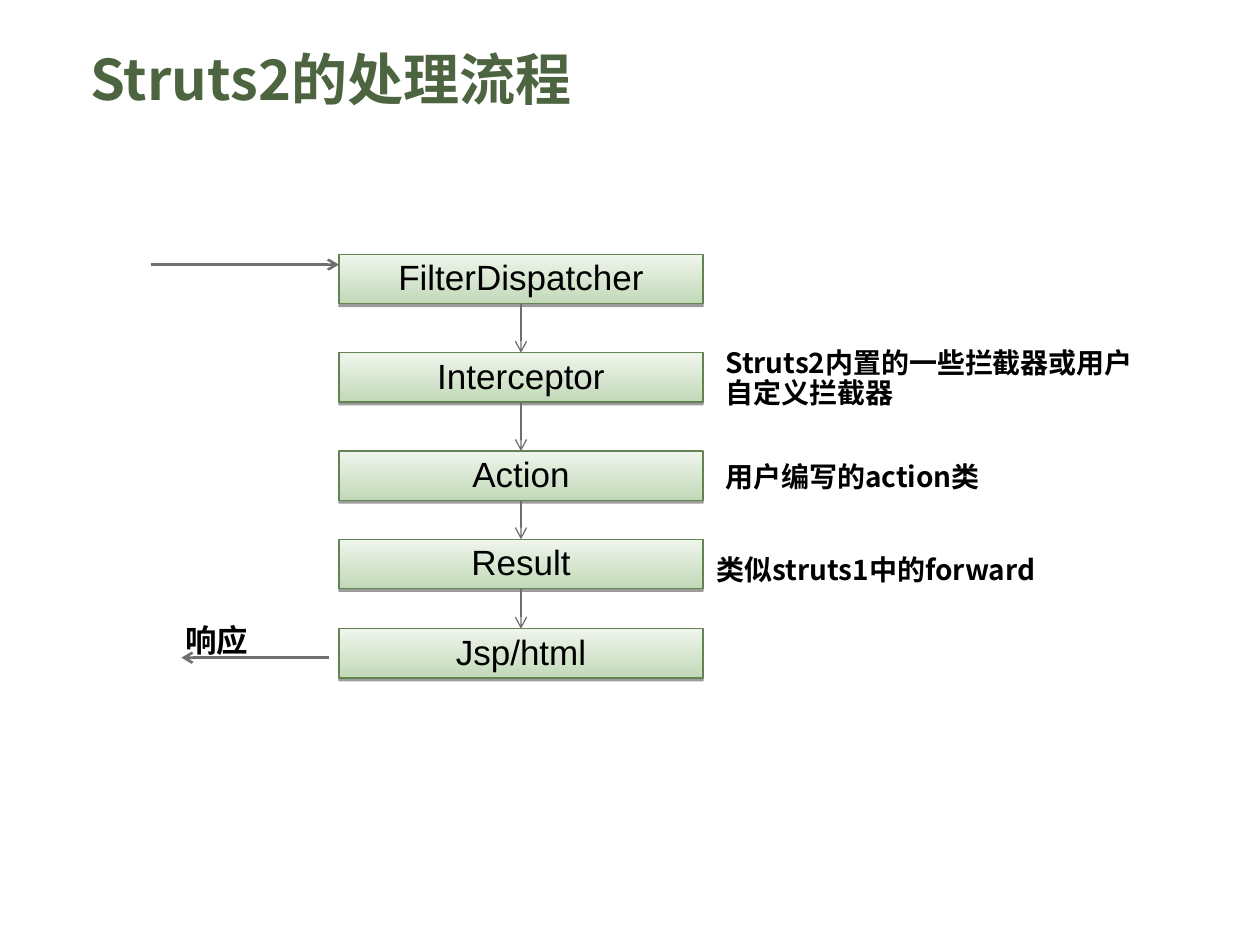
from lxml.etree import SubElement as Sub
from pptx import Presentation
from pptx.dml.color import RGBColor as RGB
from pptx.enum.shapes import MSO_CONNECTOR as Conn, MSO_SHAPE as Shape
from pptx.enum.text import MSO_ANCHOR as Anchor, MSO_AUTO_SIZE as Auto, PP_ALIGN as Align
from pptx.oxml.ns import qn
from pptx.util import Inches, Pt

BLACK = RGB(0x00, 0x00, 0x00)
GREEN = RGB(0x4D, 0x64, 0x40)
EDGE = RGB(0x64, 0x83, 0x53)
LOW = RGB(0xC2, 0xD9, 0xB8)
HIGH = RGB(0xEF, 0xF5, 0xEC)
GRAY = RGB(0x6D, 0x6F, 0x71)

LEFT, WIDE, TALL = 2.69, 2.89, 0.39
STEPS = [
    ("FilterDispatcher", 2.02),
    ("Interceptor", 2.8),
    ("Action", 3.58),
    ("Result", 4.28),
    ("Jsp/html", 4.99),
]
NOTES = [
    ("Struts2内置的一些拦截器或用户自定义拦截器", (5.66, 2.72, 3.59, 0.58), True),
    ("用户编写的action类", (5.66, 3.63, 3.52, 0.34), True),
    ("类似struts1中的forward", (5.59, 4.37, 2.92, 0.34), False),
]


class Flow:
    latin = "Arial"
    asian = "Noto Sans CJK SC"

    def __init__(self, slide):
        self.slide = slide

    def fill_text(self, shape, text, face, frame, font, color=BLACK, align=Align.LEFT):
        """Put one styled paragraph into a shape."""
        body = shape.text_frame
        para = body.paragraphs[0]
        para.alignment = align
        para.line_spacing = 0.9
        run = para.add_run()
        run.text = text
        run.font.color.rgb = color
        for target, values in ((body, frame), (run.font, {"name": face, **font})):
            for key, value in values.items():
                setattr(target, key, value)
        Sub(run.font._element, qn("a:ea"), typeface=face)

    def label(self, text, box, size=16, color=BLACK, wrap=True,
              anchor=Anchor.TOP, align=Align.LEFT, fit=Auto.SHAPE_TO_FIT_TEXT):
        shape = self.slide.shapes.add_textbox(*map(Inches, box))
        frame = {"word_wrap": wrap, "vertical_anchor": anchor, "auto_size": fit}
        font = {"size": Pt(size), "bold": True}
        self.fill_text(shape, text, self.asian, frame, font, color, align)

    def step(self, text, top):
        box = map(Inches, (LEFT, top, WIDE, TALL))
        shape = self.slide.shapes.add_shape(Shape.RECTANGLE, *box)
        shape.fill.gradient()
        shape.fill.gradient_angle = 90
        for stop, color, place in zip(shape.fill.gradient_stops, (LOW, HIGH), (0, 1)):
            stop.color.rgb = color
            stop.position = place
        shape.line.color.rgb = EDGE
        shape.line.width = Pt(0.75)
        self.shade(shape)
        frame = {"word_wrap": True, "vertical_anchor": Anchor.TOP}
        self.fill_text(shape, text, self.latin, frame, {"size": Pt(20)},
                       align=Align.CENTER)

    def shade(self, shape):
        """Add a hard shadow just below a shape."""
        shape.shadow.inherit = False
        effects = shape._element.spPr.find(qn("a:effectLst"))
        outer = Sub(effects, qn("a:outerShdw"), blurRad="0", dist=str(int(Pt(1.6))),
                    dir="5400000", rotWithShape="0")
        color = Sub(outer, qn("a:srgbClr"), val=str(BLACK))
        Sub(color, qn("a:alpha"), val="38000")

    def arrow(self, start, end, width=0.75):
        line = self.slide.shapes.add_connector(
            Conn.STRAIGHT, *map(Inches, (*start, *end)))
        line.line.color.rgb = GRAY
        line.line.width = Pt(width)
        shape = line._element.spPr
        Sub(shape.find(qn("a:ln")), qn("a:tailEnd"), type="arrow")
        Sub(shape, qn("a:effectLst"))


def main():
    deck = Presentation()
    deck.slide_width, deck.slide_height = Inches(10), Inches(7.5)
    flow = Flow(deck.slides.add_slide(deck.slide_layouts[6]))

    flow.label("Struts2的处理流程", (0.62, 0.28, 8.76, 0.66), 32, GREEN,
               anchor=Anchor.BOTTOM, fit=Auto.NONE)
    for text, top in STEPS:
        flow.step(text, top)

    mid = LEFT + WIDE / 2
    tops = [top for _, top in STEPS]
    for top, below in zip(tops, tops[1:]):
        flow.arrow((mid, top + TALL), (mid, below))
    flow.arrow((1.2, 2.1), (LEFT, 2.1), 1.5)
    flow.arrow((2.61, 5.22), (1.44, 5.22), 1.5)

    for text, box, wrap in NOTES:
        flow.label(text, box, wrap=wrap)
    flow.label("响应", (1.37, 4.91, 0.7, 0.37), 18, wrap=False, align=Align.CENTER)
    deck.save("out.pptx")


if __name__ == "__main__":
    main()
